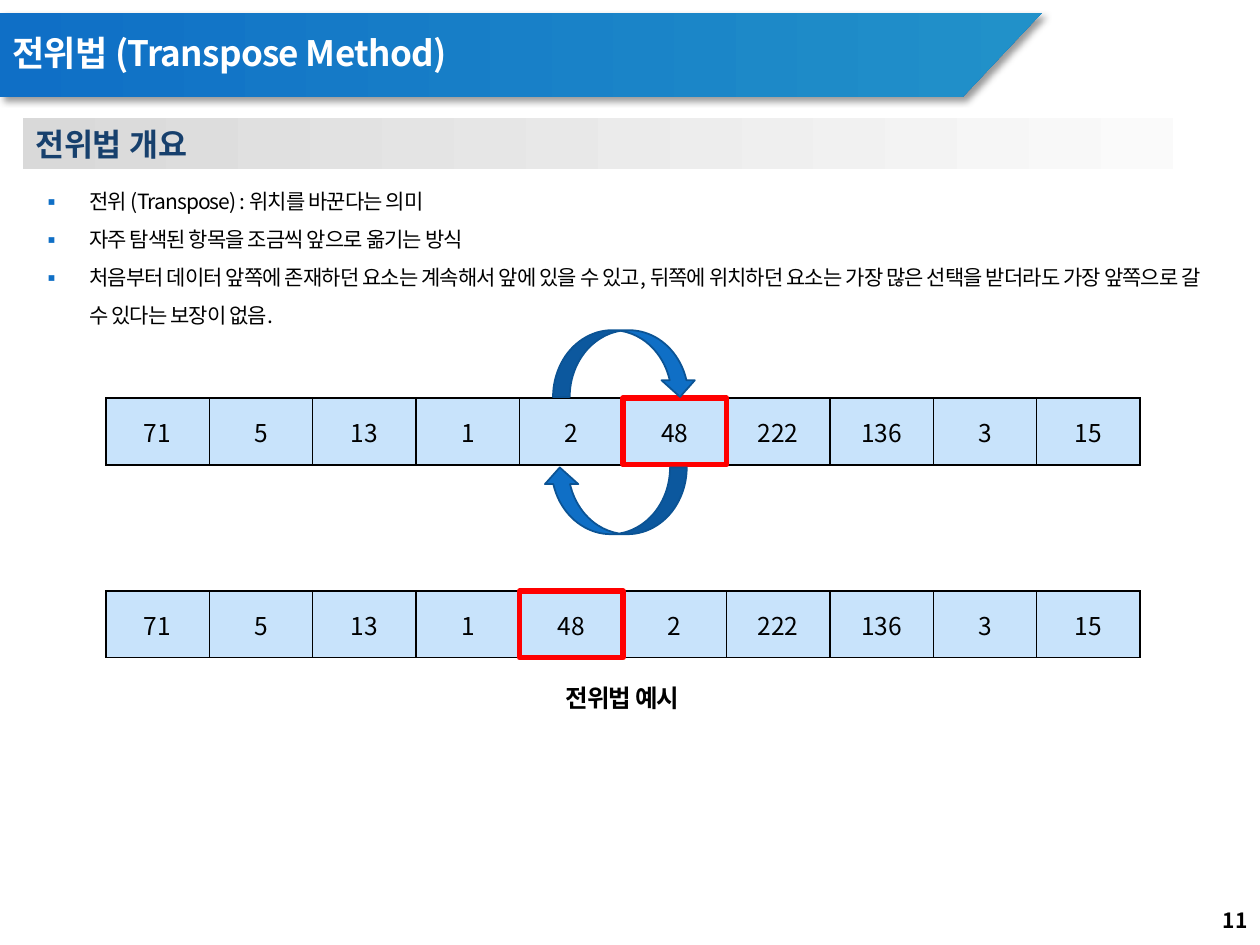
from lxml import etree
from pptx import Presentation
from pptx.dml.color import RGBColor as RGB
from pptx.enum.shapes import MSO_SHAPE as SHAPE
from pptx.enum.text import MSO_ANCHOR as ANCHOR, PP_ALIGN as ALIGN
from pptx.oxml import parse_xml
from pptx.oxml.ns import nsdecls, qn
from pptx.util import Inches, Pt

COLORS = {
    "blue": "0F6FC6", "teal": "2191C9", "edge": "0B5394", "navy": "17406D",
    "gray": "D9D9D9", "pale": "FAFAFA", "cell": "C8E3FB",
    "red": "FF0000", "black": "000000", "white": "FFFFFF",
}
C = {name: RGB.from_string(value) for name, value in COLORS.items()}
KOREAN = "Noto Sans CJK KR"


def style(p, size, color="black", bold=False, align=ALIGN.LEFT, spacing=0, latin=KOREAN):
    """Set the paragraph's font, alignment and letter spacing (in points)."""
    p.alignment = align
    f = p.font
    f.size, f.bold, f.name = Pt(size), bold, latin
    f.color.rgb = C[color]
    props = p._p.pPr.find(qn("a:defRPr"))
    props.set("spc", str(round(spacing * 100)))
    etree.SubElement(props, qn("a:ea")).set("typeface", KOREAN)


def fill_gradient(sp, start, end):
    sp.shadow.inherit = False
    sp.line.fill.background()
    sp.fill.gradient()
    sp.fill.gradient_angle = 0
    for stop, color, position in zip(sp.fill.gradient_stops, (start, end), (0, 1)):
        stop.color.rgb, stop.position = C[color], position


prs = Presentation()
prs.slide_width, prs.slide_height = Inches(10), Inches(7.5)
s = prs.slides.add_slide(prs.slide_layouts[6])

# Title banner
builder = s.shapes.build_freeform(Inches(0), Inches(0.1))
builder.add_line_segments(
    [(Inches(x), Inches(y)) for x, y in ((8.27, 0.1), (7.64, 0.77), (0, 0.77))])
banner = builder.convert_to_shape()
fill_gradient(banner, "blue", "teal")
effects = banner.element.spPr.find(qn("a:effectLst"))
effects.append(parse_xml(
    f'<a:outerShdw {nsdecls("a")} blurRad="{Pt(4)}" dist="{Pt(3)}" dir="2700000" '
    f'algn="tl" rotWithShape="0"><a:srgbClr val="{COLORS["black"]}">'
    '<a:alpha val="40000"/></a:srgbClr></a:outerShdw>'))

# Section heading bar
heading = s.shapes.add_shape(
    SHAPE.RECTANGLE, Inches(0.18), Inches(0.94), Inches(9.13), Inches(0.4))
fill_gradient(heading, "gray", "pale")
tf = heading.text_frame
tf.vertical_anchor = ANCHOR.TOP
tf.text = "전위법 개요"
style(tf.paragraphs[0], 18, "navy", True)

# Single-line texts: title, page number, caption
labels = [
    ("전위법 (Transpose Method)", (0, 0.2, 6.69, 0.47), ANCHOR.MIDDLE,
     dict(size=20, color="white", bold=True, spacing=-0.4)),
    ("11", (7.75, 7.1, 2.25, 0.4), ANCHOR.MIDDLE,
     dict(size=12, bold=True, align=ALIGN.RIGHT)),
    ("전위법 예시", (1.8, 5.37, 6.28, 0.34), ANCHOR.TOP,
     dict(size=14, bold=True, align=ALIGN.CENTER, spacing=-0.5, latin="Arial")),
]
for text, box, anchor, look in labels:
    tf = s.shapes.add_textbox(*map(Inches, box)).text_frame
    tf.word_wrap = True
    tf.vertical_anchor = anchor
    tf.text = text
    style(tf.paragraphs[0], **look)
    if look["size"] == 20:
        tf.paragraphs[0].line_spacing = 0.9

# Bulleted overview
bullets = [
    "전위 (Transpose) : 위치를 바꾼다는 의미",
    "자주 탐색된 항목을 조금씩 앞으로 옮기는 방식",
    "처음부터 데이터 앞쪽에 존재하던 요소는 계속해서 앞에 있을 수 있고, 뒤쪽에 위치하던 "
    "요소는 가장 많은 선택을 받더라도 가장 앞쪽으로 갈 수 있다는 보장이 없음.",
]
tf = s.shapes.add_textbox(
    Inches(0.23), Inches(1.35), Inches(9.45), Inches(1.58)).text_frame
tf.word_wrap = True
tf.text = "\n".join(bullets)
for p in tf.paragraphs:
    style(p, 12, spacing=-0.5)
    p.line_spacing = 1.5
    pPr = p._p.pPr
    pPr.set("marL", str(Inches(0.38)))
    pPr.set("indent", str(-Inches(0.38)))
    defaults = pPr.find(qn("a:defRPr"))
    for xml in (
        f'<a:buClr {nsdecls("a")}><a:srgbClr val="{COLORS["blue"]}"/></a:buClr>',
        f'<a:buFont {nsdecls("a")} typeface="{KOREAN}"/>',
        f'<a:buChar {nsdecls("a")} char="▪"/>',
    ):
        defaults.addprevious(parse_xml(xml))

# Lists before and after the swap
LEFT, CELL_W, CELL_H = 0.84, 0.821, 0.53
before = [71, 5, 13, 1, 2, 48, 222, 136, 3, 15]
after = before[:4] + [48, 2] + before[6:]
rows = [(3.16, before), (4.69, after)]
for top, values in rows:
    frame = s.shapes.add_table(
        1, len(values), Inches(LEFT), Inches(top),
        Inches(CELL_W * len(values)), Inches(CELL_H))
    table = frame.table
    table.first_row = table.horz_banding = False
    for column, cell, value in zip(table.columns, table.rows[0].cells, values):
        column.width = Inches(CELL_W)
        cell.text = str(value)
        cell.vertical_anchor = ANCHOR.MIDDLE
        style(cell.text_frame.paragraphs[0], 14, align=ALIGN.CENTER)
        tcPr = cell._tc.get_or_add_tcPr()
        for side in ("lnL", "lnR", "lnT", "lnB"):
            tcPr.append(parse_xml(
                f'<a:{side} {nsdecls("a")} w="{Pt(1)}"><a:solidFill>'
                f'<a:srgbClr val="{COLORS["black"]}"/></a:solidFill></a:{side}>'))
        cell.fill.solid()
        cell.fill.fore_color.rgb = C["cell"]

# Frames around the searched item
for top, values in rows:
    left = LEFT + CELL_W * values.index(48)
    sp = s.shapes.add_shape(
        SHAPE.RECTANGLE, Inches(left), Inches(top), Inches(CELL_W), Inches(CELL_H))
    sp.shadow.inherit = False
    sp.fill.background()
    sp.line.color.rgb, sp.line.width = C["red"], Pt(3)

# Swap arrows above and below the first list
for left, top, flip in ((4.39, 2.62, "flipH"), (4.31, 3.71, "flipV")):
    sp = s.shapes.add_shape(
        SHAPE.CURVED_UP_ARROW, Inches(left), Inches(top), Inches(1.14), Inches(0.53))
    sp.shadow.inherit = False
    sp.rotation = 180
    sp.element.spPr.find(qn("a:xfrm")).set(flip, "1")
    sp.fill.solid()
    sp.fill.fore_color.rgb = C["blue"]
    sp.line.color.rgb, sp.line.width = C["edge"], Pt(1)

prs.save("out.pptx")
